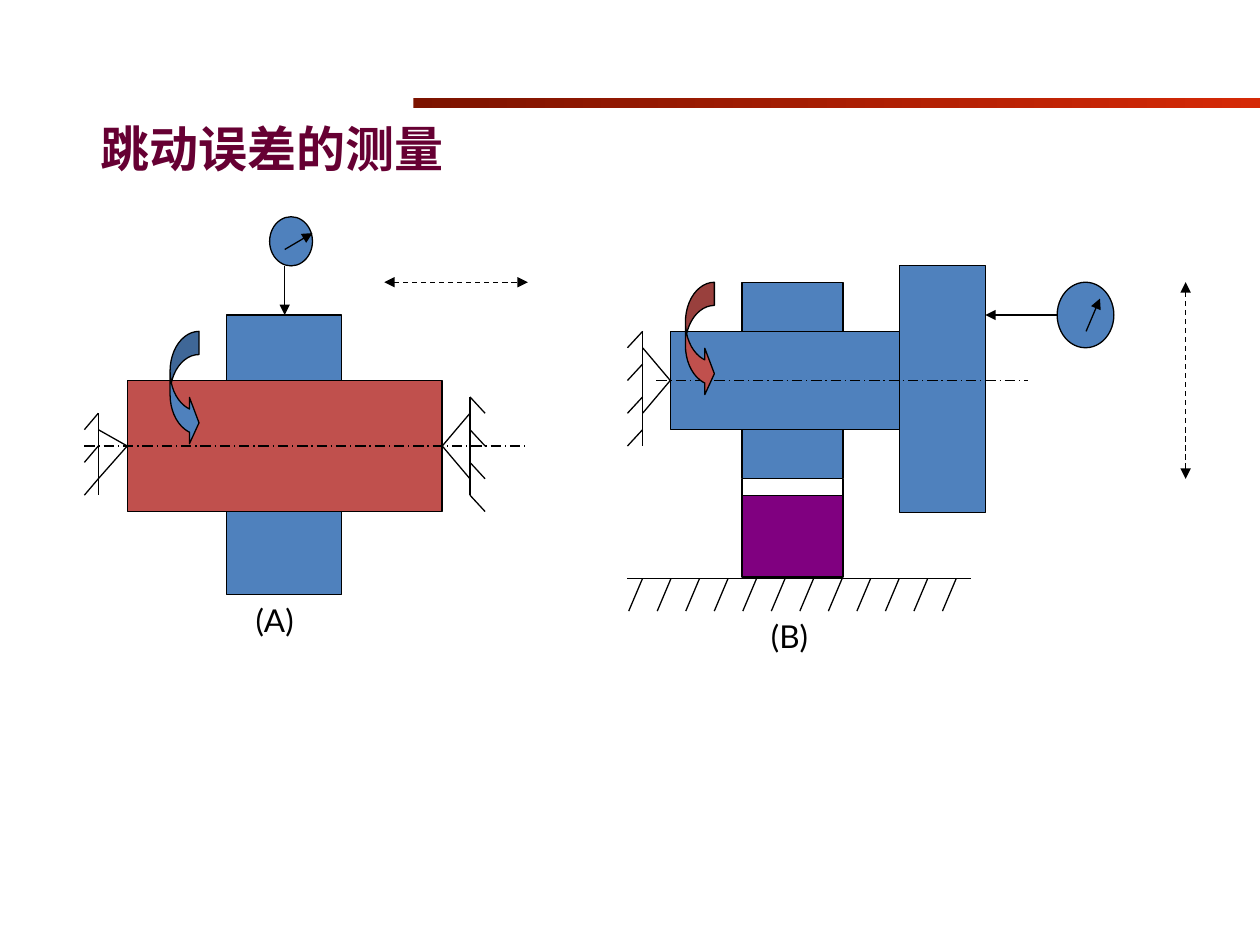
from lxml.etree import SubElement
from pptx import Presentation
from pptx.dml.color import RGBColor
from pptx.enum.dml import MSO_LINE_DASH_STYLE as DASH
from pptx.enum.shapes import MSO_CONNECTOR, MSO_SHAPE as SHAPE
from pptx.enum.text import MSO_ANCHOR, MSO_AUTO_SIZE, PP_ALIGN
from pptx.oxml.ns import qn
from pptx.util import Inches, Pt

BLUE, RED, PURPLE, BLACK = "4F81BD", "C0504D", "800080", "000000"
rgb = RGBColor.from_string


def add_part(kind, left, top, width, height, color):
    part = slide.shapes.add_shape(
        kind, Inches(left), Inches(top), Inches(width), Inches(height))
    part.shadow.inherit = False
    part.fill.solid()
    part.fill.fore_color.rgb = rgb(color)
    part.line.color.rgb = rgb(BLACK)
    part.line.width = Pt(0.75)
    return part


def add_line(x1, y1, x2, y2, dash=None, arrows=()):
    line = slide.shapes.add_connector(
        MSO_CONNECTOR.STRAIGHT, Inches(x1), Inches(y1), Inches(x2), Inches(y2))
    line.line.color.rgb = rgb(BLACK)
    line.line.width = Pt(0.75)
    if dash:
        line.line.dash_style = dash
    properties = line._element.spPr
    for end in arrows:
        SubElement(properties.find(qn("a:ln")), qn(f"a:{end}"), type="triangle")
    SubElement(properties, qn("a:effectLst"))


prs = Presentation()
prs.slide_width, prs.slide_height = Inches(10), Inches(7.5)
slide = prs.slides.add_slide(prs.slide_layouts[5])

# Gradient band
band = add_part(SHAPE.RECTANGLE, 3.28, 0.78, 6.72, 0.08, "7C1300")
band.line.fill.background()
band.fill.gradient()
band.fill.gradient_angle = 0
for stop, color in zip(band.fill.gradient_stops, ("7C1300", "D52907")):
    stop.color.rgb = rgb(color)

# Title
title = slide.shapes.title
title.left, title.top = Inches(0.7), Inches(0.94)
title.width, title.height = Inches(7.64), Inches(1.26)
title.text_frame.text = "跳动误差的测量"
title.text_frame.vertical_anchor = MSO_ANCHOR.TOP
heading = title.text_frame.paragraphs[0]
heading.alignment = PP_ALIGN.LEFT
heading.line_spacing = 0.9
heading_font = heading.runs[0].font
heading_font.name, heading_font.size, heading_font.bold = "Arial", Pt(28), True
heading_font.color.rgb = rgb("660033")

# Workpieces and the purple support block
for left, top, width, height, color in [
    (1.8, 2.5, 0.91, 2.22, BLUE),
    (1.01, 3.02, 2.5, 1.04, RED),
    (7.14, 2.11, 0.68, 1.96, BLUE),
    (5.89, 2.24, 0.8, 1.56, BLUE),
    (5.89, 3.93, 0.8, 0.65, PURPLE),
    (5.32, 2.63, 1.82, 0.78, BLUE),
]:
    add_part(SHAPE.RECTANGLE, left, top, width, height, color)
for x in (5.89, 6.69):
    add_line(x, 3.8, x, 4.06)

# Centres: tip, wall and the two points where the cone meets the wall
for tip_x, tip_y, wall_x, wall_top, wall_bottom, cone_top, cone_bottom in [
    (1.01, 3.54, 0.78, 3.28, 3.93, 3.41, 3.8),
    (3.51, 3.54, 3.73, 3.15, 3.93, 3.28, 3.8),
    (5.32, 3.02, 5.1, 2.63, 3.54, 2.76, 3.28),
]:
    add_line(tip_x, tip_y, wall_x, cone_top)
    add_line(tip_x, tip_y, wall_x, cone_bottom)
    add_line(wall_x, wall_top, wall_x, wall_bottom)

# Wall hatching
for wall_x, first_y, slant, count in [
    (0.78, 3.28, -0.11, 3),
    (3.73, 3.15, 0.12, 4),
    (5.1, 2.63, -0.12, 4),
]:
    for i in range(count):
        y = first_y + 0.26 * i
        add_line(wall_x, y, wall_x + slant, y + 0.13)

# Ground with hatching
add_line(4.98, 4.59, 7.71, 4.59)
for i in range(12):
    x = 5.1 + 2.49 * i / 11
    add_line(x, 4.59, x - 0.11, 4.85)

# Axes of rotation
add_line(0.67, 3.54, 4.19, 3.54, DASH.LONG_DASH_DOT)
add_line(5.21, 3.02, 8.16, 3.02, DASH.LONG_DASH_DOT)

# Dial gauges with stem and needle
add_part(SHAPE.OVAL, 2.14, 1.72, 0.34, 0.39, BLUE)
add_part(SHAPE.OVAL, 8.39, 2.24, 0.45, 0.52, BLUE)
for ends in [
    (2.26, 2.11, 2.26, 2.5),
    (2.26, 1.98, 2.48, 1.85),
    (8.39, 2.5, 7.82, 2.5),
    (8.62, 2.63, 8.73, 2.37),
]:
    add_line(*ends, arrows=["tailEnd"])

# Directions of gauge travel
for ends in [(3.05, 2.24, 4.19, 2.24), (9.41, 2.24, 9.41, 3.8)]:
    add_line(*ends, dash=DASH.DASH, arrows=["headEnd", "tailEnd"])

# Rotation arrows
for left, top, color in [(1.35, 2.63, BLUE), (5.44, 2.24, RED)]:
    rotation = add_part(SHAPE.CURVED_RIGHT_ARROW, left, top, 0.23, 0.91, color)
    for i, value in enumerate((0.8, 1.6, 0.33)):
        rotation.adjustments[i] = value

# Figure labels
for label, left, top in [("(A)", 1.93, 4.72), ("(B)", 6.02, 4.85)]:
    caption = slide.shapes.add_textbox(
        Inches(left), Inches(top), Inches(0.51), Inches(0.4)).text_frame
    caption.word_wrap = False
    caption.auto_size = MSO_AUTO_SIZE.SHAPE_TO_FIT_TEXT
    caption.text = label
    caption_font = caption.paragraphs[0].runs[0].font
    caption_font.name, caption_font.size = "Lato", Pt(18)
    caption_font.color.rgb = rgb(BLACK)

prs.save("out.pptx")
